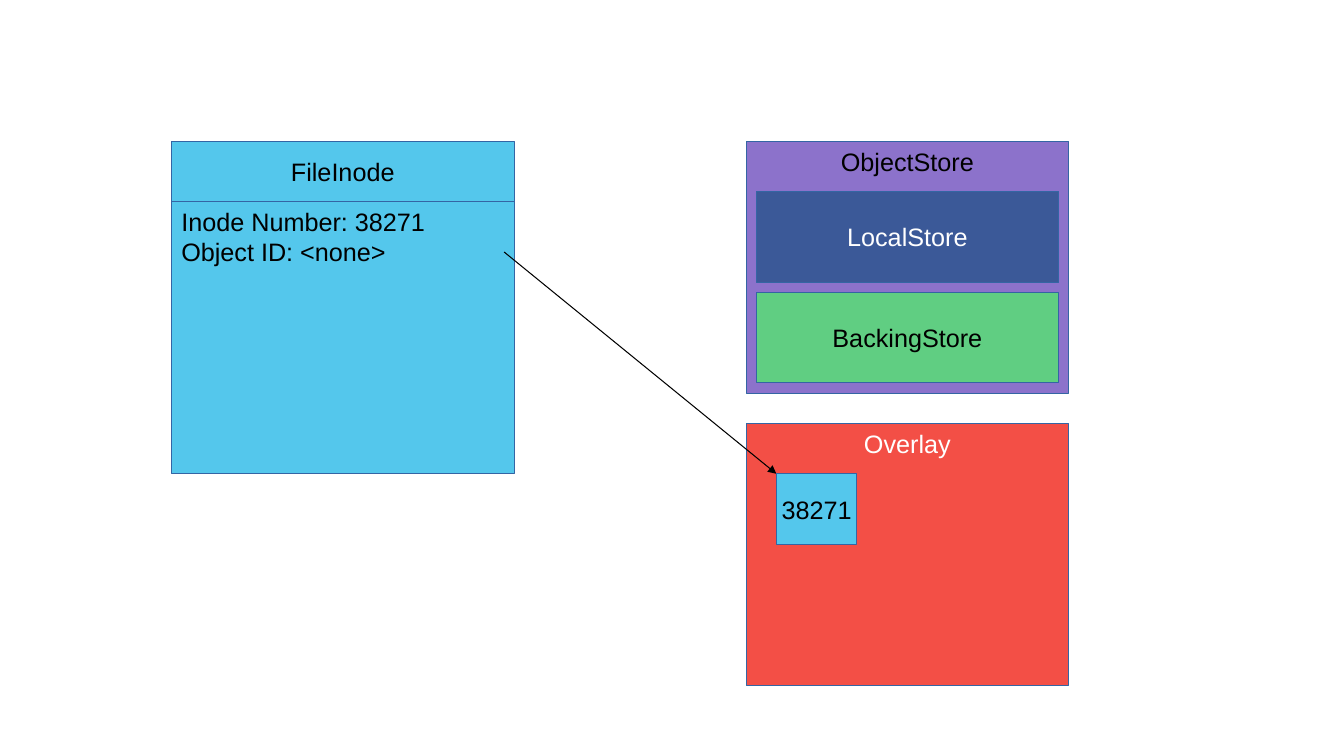
from dataclasses import dataclass

from lxml.etree import SubElement
from pptx import Presentation
from pptx.dml.color import RGBColor as RGB
from pptx.enum.shapes import MSO_CONNECTOR as CONNECTOR, MSO_SHAPE as SHAPE
from pptx.enum.text import MSO_ANCHOR as ANCHOR, PP_ALIGN as ALIGN
from pptx.oxml.ns import qn
from pptx.util import Inches, Pt


@dataclass(frozen=True)
class Theme:
    """Colours and type sizes of the slide."""

    inode: RGB = RGB.from_string("54C7EC")
    object_store: RGB = RGB.from_string("8C72CB")
    local_store: RGB = RGB.from_string("3B5998")
    backing_store: RGB = RGB.from_string("60CE82")
    overlay: RGB = RGB.from_string("F34F46")
    outline: RGB = RGB.from_string("3465A4")
    dark: RGB = RGB.from_string("000000")
    light: RGB = RGB.from_string("FFFFFF")
    font: str = "Arial"
    text_size: Pt = Pt(18)
    line_width: Pt = Pt(0.75)


THEME = Theme()


def apply_format(target, values):
    """Set each named attribute on the target."""
    for name, value in values.items():
        setattr(target, name, value)


def add_box(slide, bounds, lines, fill, ink=THEME.dark,
            anchor=ANCHOR.MIDDLE, align=ALIGN.CENTER):
    """Add an outlined rectangle with its lines of text."""
    box = slide.shapes.add_shape(SHAPE.RECTANGLE, *map(Inches, bounds))
    box.shadow.inherit = False
    box.fill.solid()
    box.fill.fore_color.rgb = fill
    box.line.color.rgb = THEME.outline
    box.line.width = THEME.line_width
    frame = box.text_frame
    apply_format(frame, {
        "text": "\n".join(lines),
        "word_wrap": align == ALIGN.LEFT,
        "vertical_anchor": anchor,
        "margin_left": Inches(0.1),
        "margin_right": Inches(0.1),
        "margin_top": Inches(0.05),
        "margin_bottom": Inches(0.05),
    })
    for paragraph in frame.paragraphs:
        paragraph.alignment = align
        apply_format(paragraph.font, {"name": THEME.font, "size": THEME.text_size})
        paragraph.font.color.rgb = ink


def add_arrow(slide, start, end):
    """Add a thin straight arrow from start to end."""
    arrow = slide.shapes.add_connector(
        CONNECTOR.STRAIGHT, *map(Inches, (*start, *end)))
    arrow.line.color.rgb = THEME.dark
    arrow.line.width = THEME.line_width
    SubElement(arrow.line._get_or_add_ln(), qn("a:tailEnd"), type="triangle")
    SubElement(arrow._element.spPr, qn("a:effectLst"))


def add_file_inode(slide):
    """Add the inode header and its fields."""
    add_box(slide, (1.7, 1.4, 3.4, 0.6), ["FileInode"], THEME.inode)
    add_box(slide, (1.7, 2, 3.4, 2.7),
            ["Inode Number: 38271", "Object ID: <none>"],
            THEME.inode, anchor=ANCHOR.TOP, align=ALIGN.LEFT)


def add_object_store(slide):
    """Add the object store and the two stores inside it."""
    add_box(slide, (7.4, 1.4, 3.2, 2.5), ["ObjectStore"],
            THEME.object_store, anchor=ANCHOR.TOP)
    add_box(slide, (7.5, 2.9, 3, 0.9), ["BackingStore"], THEME.backing_store)
    add_box(slide, (7.5, 1.9, 3, 0.9), ["LocalStore"],
            THEME.local_store, ink=THEME.light)


def add_overlay(slide):
    """Add the overlay, its stored file and the arrow from the inode."""
    file_corner = (7.7, 4.7)
    add_box(slide, (7.4, 4.2, 3.2, 2.6), ["Overlay"],
            THEME.overlay, ink=THEME.light, anchor=ANCHOR.TOP)
    add_arrow(slide, (5, 2.5), file_corner)
    add_box(slide, (*file_corner, 0.8, 0.7), ["38271"], THEME.inode)


def main():
    """Build and save the slide."""
    deck = Presentation()
    apply_format(deck, {"slide_width": Inches(13.33), "slide_height": Inches(7.5)})
    slide = deck.slides.add_slide(deck.slide_layouts[6])
    add_file_inode(slide)
    add_object_store(slide)
    add_overlay(slide)
    deck.save("out.pptx")


if __name__ == "__main__":
    main()
